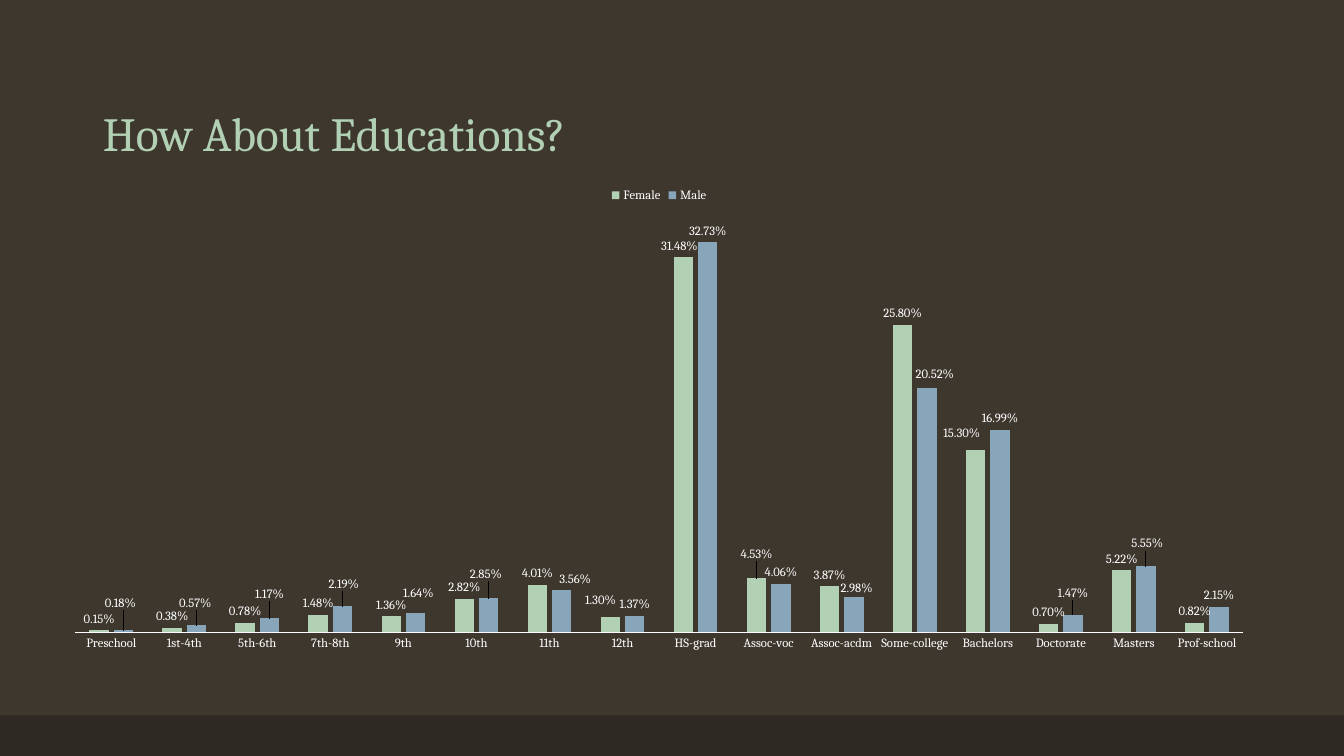
from dataclasses import dataclass

from lxml import etree
from pptx import Presentation
from pptx import util as u
from pptx.chart.data import CategoryChartData
from pptx.dml.color import RGBColor
from pptx.enum import chart as ce, shapes, text
from pptx.oxml import ns

BACKGROUND = RGBColor(0x3D, 0x37, 0x2E)
FOOTER = RGBColor(0x2E, 0x29, 0x23)
GREEN = RGBColor(0xB2, 0xD0, 0xB4)
BLUE = RGBColor(0x88, 0xA5, 0xBA)
WHITE = RGBColor(0xFF, 0xFF, 0xFF)
FONT = "Cambria"
PERCENT = "0.00%"
SLIDE_W, SLIDE_H = 33.87, 19.05
CHART_W, CHART_H = 30.68, 12.22

LEVELS = ["Preschool", "1st-4th", "5th-6th", "7th-8th", "9th", "10th", "11th", "12th",
          "HS-grad", "Assoc-voc", "Assoc-acdm", "Some-college", "Bachelors",
          "Doctorate", "Masters", "Prof-school"]


@dataclass
class Gender:
    name: str
    color: RGBColor
    percents: list[float]
    label_shifts: dict[str, tuple[float, float]]  # level -> right, down in cm


GENDERS = [
    Gender("Female", GREEN,
           [0.15, 0.38, 0.78, 1.48, 1.36, 2.82, 4.01, 1.30, 31.48, 4.53, 3.87,
            25.80, 15.30, 0.70, 5.22, 0.82],
           {"12th": (-0.25, -0.13), "HS-grad": (-0.1, 0), "Assoc-voc": (0, -0.33),
            "Bachelors": (-0.35, -0.13)}),
    Gender("Male", BLUE,
           [0.18, 0.57, 1.17, 2.19, 1.64, 2.85, 3.56, 1.37, 32.73, 4.06, 2.98,
            20.52, 16.99, 1.47, 5.55, 2.15],
           {"Preschool": (-0.08, -0.4), "1st-4th": (-0.03, -0.28),
            "5th-6th": (0, -0.33), "7th-8th": (0.03, -0.28), "9th": (0.07, -0.2),
            "10th": (-0.07, -0.33), "11th": (0.34, 0.03), "Assoc-acdm": (0.07, 0.08),
            "Some-college": (0.2, -0.05), "Doctorate": (0, -0.25),
            "Masters": (0.03, -0.28)}),
]


def apply(target, **values) -> None:
    for name, value in values.items():
        setattr(target, name, value)


def set_font(font, size: float, color: RGBColor = WHITE) -> None:
    apply(font, name=FONT, size=u.Pt(size), bold=False)
    font.color.rgb = color


def manual_layout(**values) -> etree._Element:
    layout = etree.Element(ns.qn("c:layout"))
    manual = etree.SubElement(layout, ns.qn("c:manualLayout"))
    for name, value in values.items():
        etree.SubElement(manual, ns.qn(f"c:{name}")).set("val", str(value))
    return layout


def style_gender(series, gender: Gender) -> None:
    series.format.fill.solid()
    series.format.fill.fore_color.rgb = gender.color
    series.invert_if_negative = False
    labels = series.data_labels
    apply(labels, show_value=True, number_format=PERCENT, number_format_is_linked=False,
          position=ce.XL_LABEL_POSITION.OUTSIDE_END)
    set_font(labels.font, 9)
    # Move crowded labels apart
    for level in gender.label_shifts:
        label = series.points[LEVELS.index(level)].data_label
        label.position = ce.XL_LABEL_POSITION.OUTSIDE_END
        set_font(label.font, 9)
    for label_xml, (right, down) in zip(series._element.xpath(".//c:dLbl"),
                                        gender.label_shifts.values()):
        label_xml.insert(1, manual_layout(x=right / CHART_W, y=down / CHART_H))


def add_education_chart(slide) -> None:
    data = CategoryChartData(number_format=PERCENT)
    data.categories = LEVELS
    for gender in GENDERS:
        data.add_series(gender.name, [round(p / 100, 4) for p in gender.percents])
    chart = slide.shapes.add_chart(
        ce.XL_CHART_TYPE.COLUMN_CLUSTERED, u.Cm(1.27), u.Cm(4.45),
        u.Cm(CHART_W), u.Cm(CHART_H), data).chart
    set_font(chart.font, 10)
    apply(chart, has_title=False, has_legend=True)
    apply(chart.legend, position=ce.XL_LEGEND_POSITION.TOP, include_in_layout=False)
    set_font(chart.legend.font, 9)

    # Axes
    apply(chart.value_axis, visible=False, has_major_gridlines=False,
          minimum_scale=0, maximum_scale=0.35)
    levels_axis = chart.category_axis
    apply(levels_axis, major_tick_mark=ce.XL_TICK_MARK.NONE,
          minor_tick_mark=ce.XL_TICK_MARK.NONE)
    set_font(levels_axis.tick_labels.font, 9)
    levels_axis.format.line.color.rgb = WHITE
    levels_axis.format.line.width = u.Pt(0.75)

    # Columns
    columns = chart.plots[0]
    apply(columns, gap_width=150, overlap=-25, vary_by_categories=False)
    for series, gender in zip(columns.series, GENDERS):
        style_gender(series, gender)

    # Plot area position
    plot_area = chart._chartSpace.chart.plotArea
    for layout in plot_area.findall(ns.qn("c:layout")):
        plot_area.remove(layout)
    plot_area.insert(0, manual_layout(layoutTarget="inner", xMode="edge", yMode="edge",
                                      x=0.02, y=0.08, w=0.96, h=0.86))


def main() -> None:
    deck = Presentation()
    apply(deck, slide_width=u.Cm(SLIDE_W), slide_height=u.Cm(SLIDE_H))
    slide = deck.slides.add_slide(deck.slide_layouts.get_by_name("Title Only"))
    slide.background.fill.solid()
    slide.background.fill.fore_color.rgb = BACKGROUND

    # Footer band
    band_top = 18.03
    band = slide.shapes.add_shape(shapes.MSO_SHAPE.RECTANGLE, 0, u.Cm(band_top),
                                  u.Cm(SLIDE_W), u.Cm(SLIDE_H - band_top))
    band.shadow.inherit = False
    band.fill.solid()
    band.fill.fore_color.rgb = FOOTER
    band.line.fill.background()

    # Title
    title = slide.shapes.title
    apply(title, left=u.Cm(2.34), top=u.Cm(1.02), width=u.Cm(29.21), height=u.Cm(3.18))
    apply(title.text_frame, text="How About Educations?", word_wrap=True,
          vertical_anchor=text.MSO_ANCHOR.BOTTOM, auto_size=text.MSO_AUTO_SIZE.NONE)
    heading = title.text_frame.paragraphs[0]
    apply(heading, alignment=text.PP_ALIGN.LEFT, line_spacing=0.9)
    set_font(heading.runs[0].font, 34, GREEN)

    add_education_chart(slide)
    deck.save("out.pptx")


if __name__ == "__main__":
    main()
